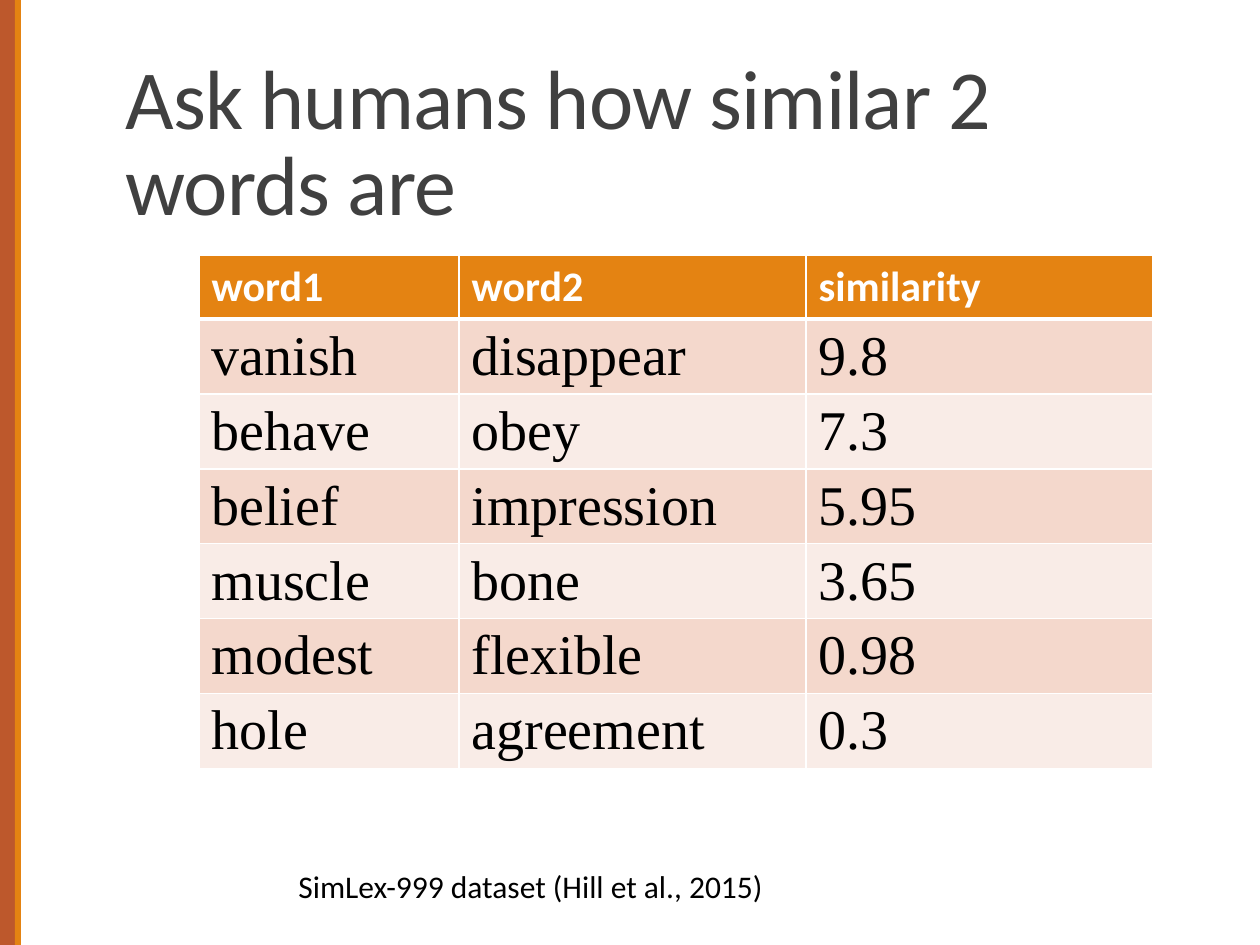
from lxml.etree import SubElement
from pptx import Presentation
from pptx.dml.color import RGBColor
from pptx.enum.shapes import MSO_SHAPE as Shape
from pptx.enum.text import MSO_ANCHOR as Anchor, MSO_AUTO_SIZE as AutoSize, PP_ALIGN as Align
from pptx.oxml.ns import qn
from pptx.util import Inches, Pt

PX = Inches(1) / 126


def px(*lengths):
    """Turn pixel lengths into a list of EMU."""
    return [round(length * PX) for length in lengths]


def style(paragraph, size, color, name="Calibri", bold=False):
    font = paragraph.font
    for key, value in {"size": Pt(size), "name": name, "bold": bold}.items():
        setattr(font, key, value)
    font.color.rgb = RGBColor.from_string(color)


prs = Presentation()
prs.slide_width, prs.slide_height = px(1260, 945)
slide = prs.slides.add_slide(prs.slide_layouts[5])

# Side stripes
for left, width, color in [(0, 21, "BD582C"), (15, 6, "E48312")]:
    stripe = slide.shapes.add_shape(Shape.RECTANGLE, *px(left, 0, width, 945))
    stripe.shadow.inherit = False
    stripe.fill.solid()
    stripe.fill.fore_color.rgb = RGBColor.from_string(color)
    stripe.line.fill.background()

# Title
title = slide.shapes.title
title.left, title.top, title.width, title.height = px(113, 39, 1040, 200)
heading = title.text_frame
heading.text = "Ask humans how similar 2 words are"
heading.word_wrap = True
heading.auto_size = AutoSize.NONE
heading.vertical_anchor = Anchor.BOTTOM
heading_line = heading.paragraphs[0]
heading_line.alignment = Align.LEFT
heading_line.line_spacing = 0.85
style(heading_line, 48, "404040")
heading_line.runs[0].font._element.set("spc", "-50")

# Similarity table
ratings = [
    ("word1", "word2", "similarity"),
    ("vanish", "disappear", "9.8"),
    ("behave", "obey", "7.3"),
    ("belief", "impression", "5.95"),
    ("muscle", "bone", "3.65"),
    ("modest", "flexible", "0.98"),
    ("hole", "agreement", "0.3"),
]
table = slide.shapes.add_table(len(ratings), 3, *px(199, 255, 954, 512)).table
for column, width in zip(table.columns, px(260, 347, 347)):
    column.width = width
for r, words in enumerate(ratings):
    table.rows[r].height = px(75 if r else 62)[0]
    fill = "E48312" if r == 0 else ("F9ECE7", "F4D8CC")[r % 2]
    for c, word in enumerate(words):
        cell = table.cell(r, c)
        cell.text = word
        if r == 0:
            style(cell.text_frame.paragraphs[0], 24, "FFFFFF", bold=True)
        else:
            style(cell.text_frame.paragraphs[0], 32, "000000", "Times New Roman")
        # Borders come before the fill in the cell properties
        properties = cell._tc.get_or_add_tcPr()
        for side in ("lnL", "lnR", "lnT", "lnB"):
            thick = (side, r) in (("lnB", 0), ("lnT", 1))
            border = SubElement(properties, qn(f"a:{side}"), w=str(Pt(3 if thick else 0.96)))
            paint = SubElement(border, qn("a:solidFill"))
            SubElement(paint, qn("a:srgbClr"), val="FFFFFF")
        cell.fill.solid()
        cell.fill.fore_color.rgb = RGBColor.from_string(fill)

# Source of the ratings
citation = slide.shapes.add_textbox(*px(286, 861, 624, 50)).text_frame
citation.text = "SimLex-999 dataset (Hill et al., 2015)"
citation.word_wrap = False
citation.auto_size = AutoSize.SHAPE_TO_FIT_TEXT
style(citation.paragraphs[0], 18, "000000")

prs.save("out.pptx")
